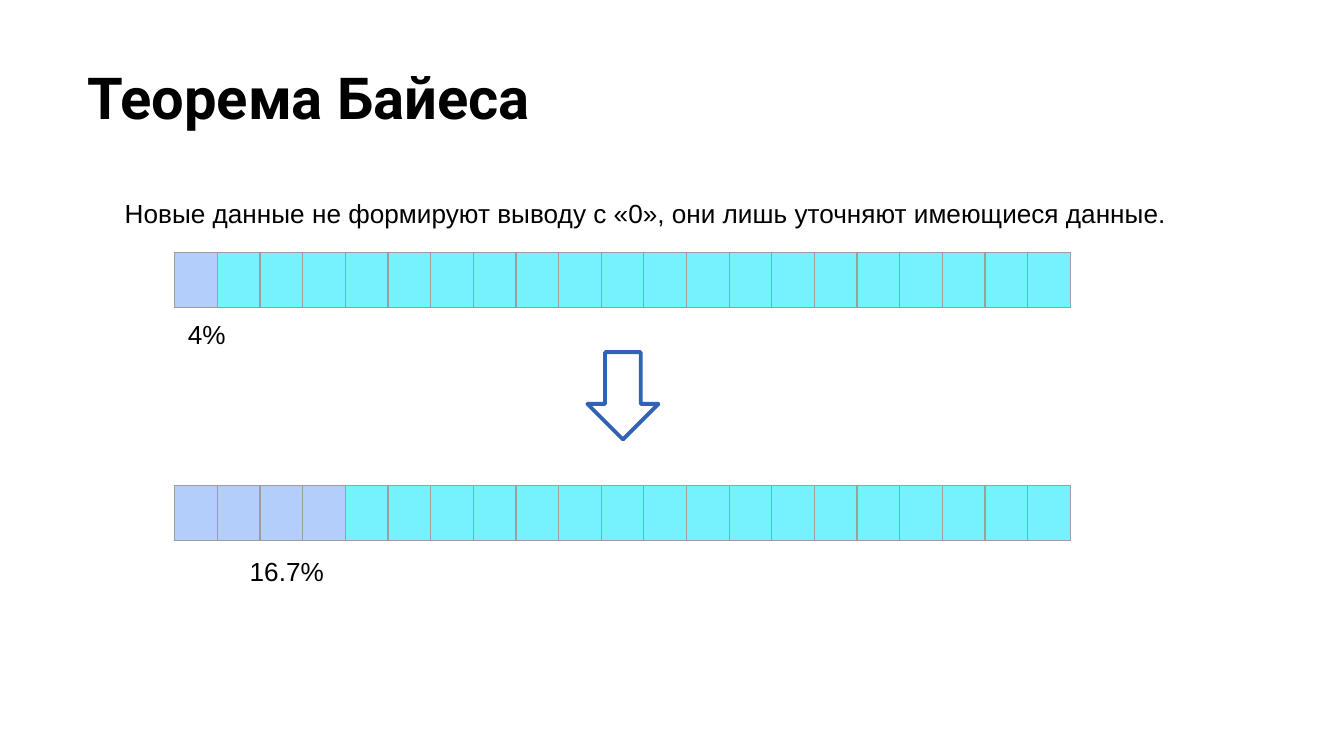
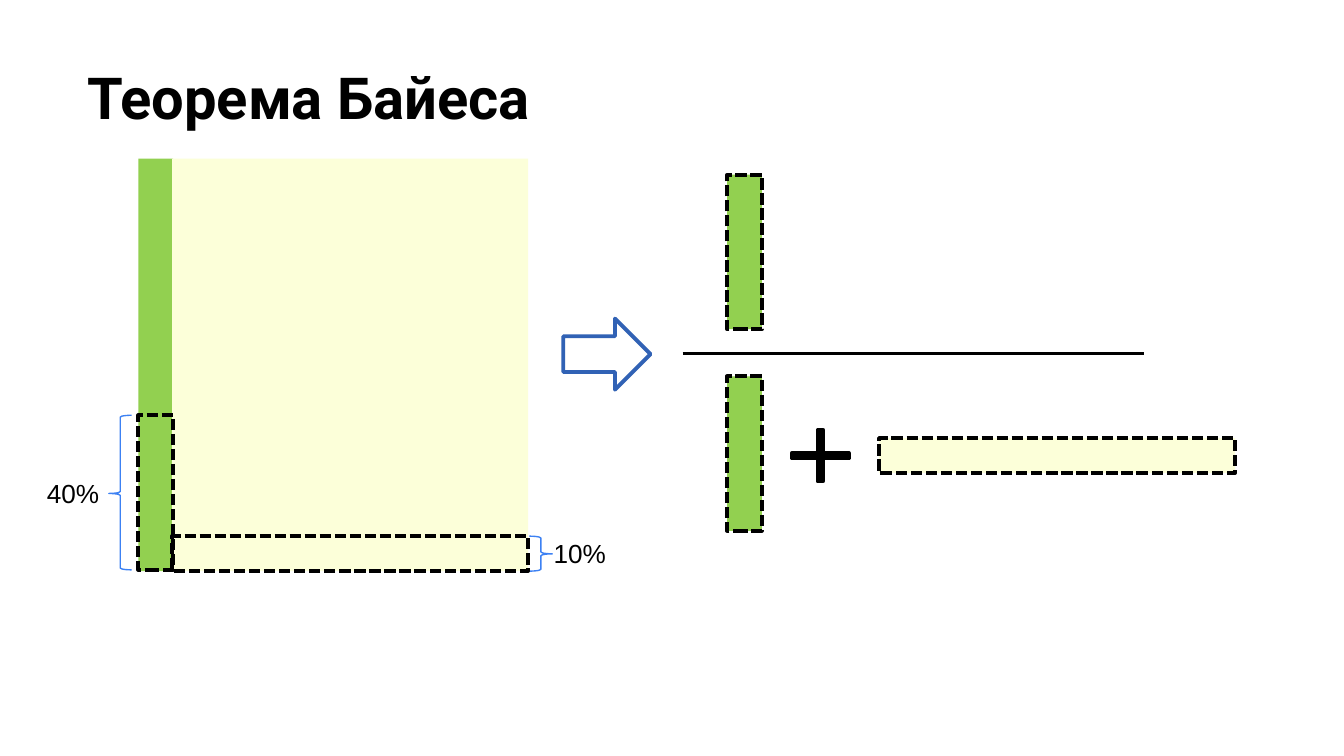
from lxml import etree
from pptx import Presentation
from pptx import util as u
from pptx.dml.color import RGBColor
from pptx.enum import dml, shapes, text
from pptx.oxml.ns import qn

PX = 9144  # EMU per px, 100 px to the inch
PRIOR, REST = "B3CEFB", "76F2FF"
GREEN, CREAM = "92D050", "FCFFD9"
BLACK, GRID, ARROW, BRACE = "000000", "9E9E9E", "3162B5", "3C81F3"
CELLS = 21
KIND = shapes.MSO_SHAPE


def px(*lengths):
    return [u.Emu(length * PX) for length in lengths]


def color(hex_code):
    return RGBColor.from_string(hex_code)


def add_text(slide, words, left, top, width, height, size=14, font="Arial",
             bold=False, wrap=False, inset=(10, 5)):
    box = slide.shapes.add_textbox(*px(left, top, width, height))
    frame = box.text_frame
    frame.word_wrap = wrap
    frame.auto_size = text.MSO_AUTO_SIZE.NONE if wrap else text.MSO_AUTO_SIZE.SHAPE_TO_FIT_TEXT
    frame.margin_left = frame.margin_right = px(inset[0])[0]
    frame.margin_top = frame.margin_bottom = px(inset[1])[0]
    run = frame.paragraphs[0].add_run()
    run.text = words
    run.font.name, run.font.size, run.font.bold = font, u.Pt(size), bold
    run.font.color.rgb = color(BLACK)


def add_figure(slide, kind, left, top, width, height, fill=None, line=None,
               weight=2, dashed=False, adjust=()):
    figure = slide.shapes.add_shape(kind, *px(left, top, width, height))
    figure.shadow.inherit = False
    if fill:
        figure.fill.solid()
        figure.fill.fore_color.rgb = color(fill)
    else:
        figure.fill.background()
    if line:
        figure.line.color.rgb = color(line)
        figure.line.width = u.Pt(weight)
        if dashed:
            figure.line.dash_style = dml.MSO_LINE.SQUARE_DOT
    else:
        figure.line.fill.background()
    for index, value in enumerate(adjust):
        figure.adjustments[index] = value
    return figure


def add_area(slide, left, top, width, height, fill=None, dashed=True):
    add_figure(slide, KIND.RECTANGLE, left, top, width, height, fill,
               BLACK if dashed else None, dashed=dashed)


def add_arrow(slide, left, top, rotation=0):
    arrow = add_figure(slide, KIND.DOWN_ARROW, left, top, 53, 65, line=ARROW)
    arrow.rotation = rotation


def add_brace(slide, left, top, height, flipped=False):
    brace = add_figure(slide, KIND.LEFT_BRACE, left, top, 17, height, line=BRACE,
                       weight=0.75, adjust=(0.083, 0.506))
    if flipped:
        brace.element.spPr.find(qn("a:xfrm")).set("flipH", "1")


def add_fraction_bar(slide, left, right, y):
    bar = slide.shapes.add_connector(shapes.MSO_CONNECTOR.STRAIGHT, *px(left, y, right, y))
    bar.line.color.rgb = color(BLACK)
    bar.line.width = u.Pt(1.5)
    etree.SubElement(bar.element.spPr, qn("a:effectLst"))


def add_borders(cell):
    # Border elements come before the fill in the cell properties
    properties = cell._tc.get_or_add_tcPr()
    for position, side in enumerate(("a:lnL", "a:lnR", "a:lnT", "a:lnB")):
        border = etree.Element(qn(side), w=str(u.Pt(0.75)))
        fill = etree.SubElement(border, qn("a:solidFill"))
        etree.SubElement(fill, qn("a:srgbClr"), val=GRID)
        properties.insert(position, border)


def add_scale(slide, top, marked):
    """Strip of equal cells, the first ones marked."""
    left, top, width, height = px(130, top, 667, 41)
    strip = slide.shapes.add_table(1, CELLS, left, top, width, height).table
    strip.first_row = strip.horz_banding = False
    for index, column in enumerate(strip.columns):
        column.width = u.Emu(round(width / CELLS))
        cell = strip.cell(0, index)
        cell.margin_top = cell.margin_bottom = 0
        cell.fill.solid()
        cell.fill.fore_color.rgb = color(PRIOR if index < marked else REST)
        add_borders(cell)


def new_slide(deck):
    slide = deck.slides.add_slide(deck.slide_layouts[6])
    add_text(slide, "Теорема Байеса", 55, 36, 932, 120, size=31, font="Roboto",
             bold=True, wrap=True, inset=(10, 10))
    return slide


def build_update(deck):
    slide = new_slide(deck)
    add_text(slide, "Новые данные не формируют выводу с «0», они лишь уточняют "
             "имеющиеся данные.", 83, 142, 797, 34)
    # Estimate before and after the new data
    add_scale(slide, 188, marked=1)
    add_scale(slide, 361, marked=4)
    add_text(slide, "4%", 130, 232, 49, 34)
    add_arrow(slide, 437, 262)
    add_text(slide, "16.7%", 176, 408, 76, 34)


def build_fraction(deck):
    slide = new_slide(deck)
    thin, tall, wide = 26, 115, 265

    # Whole population and its two groups
    add_area(slide, 103, 118, thin, 307, GREEN, dashed=False)
    add_area(slide, 128, 118, wide, 307, CREAM, dashed=False)

    # Shares within the groups
    add_brace(slide, 81, 309, tall)
    add_text(slide, "40%", 25, 350, 59, 34)
    add_brace(slide, 394, 399, thin, flipped=True)
    add_text(slide, "10%", 402, 395, 59, 34)
    add_area(slide, 103, 309, thin, tall)
    add_area(slide, 128, 399, wide, thin)

    # Fraction built from those shares
    add_area(slide, 541, 130, thin, tall, GREEN)
    add_fraction_bar(slide, 508, 851, 263)
    add_area(slide, 541, 280, thin, tall, GREEN)
    add_figure(slide, KIND.MATH_PLUS, 582, 313, 57, 52, BLACK, BLACK, adjust=(0.082,))
    add_area(slide, 654, 326, wide, thin, CREAM)
    add_arrow(slide, 425, 231, rotation=270)


def main():
    deck = Presentation()
    # Widescreen, 16:9
    deck.slide_width = px(1000)[0]
    deck.slide_height = u.Emu(deck.slide_width * 9 // 16)
    build_update(deck)
    build_fraction(deck)
    deck.save("out.pptx")


if __name__ == "__main__":
    main()
